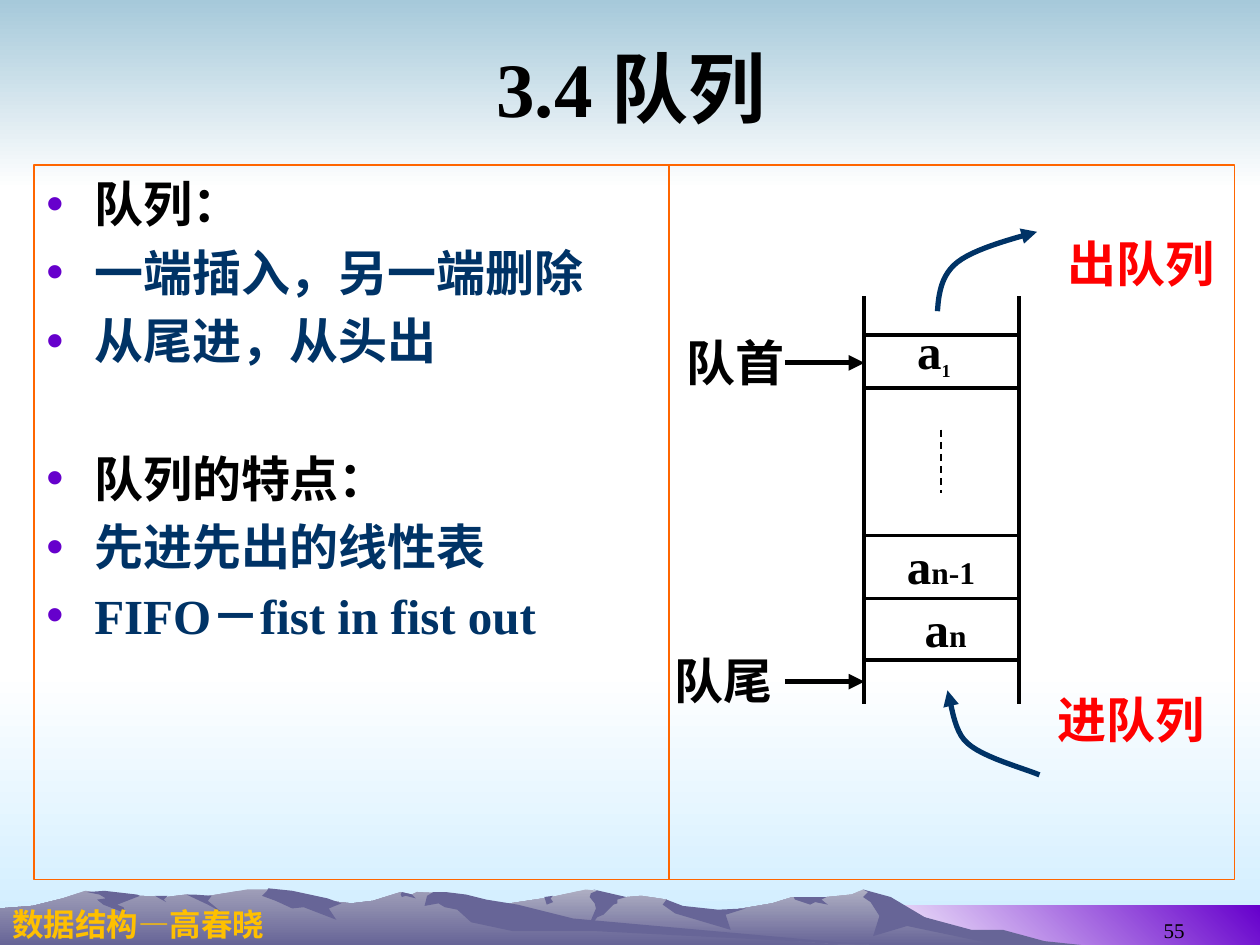
from lxml.etree import SubElement
from pptx import Presentation
from pptx.dml.color import RGBColor
from pptx.enum.dml import MSO_LINE_DASH_STYLE as Dash
from pptx.enum.shapes import MSO_CONNECTOR as Conn, MSO_SHAPE as Kind
from pptx.enum.text import MSO_ANCHOR as Anchor, PP_ALIGN as Align
from pptx.oxml.ns import qn
from pptx.util import Pt

PX = 9144
BLACK = RGBColor(0, 0, 0)
WHITE = RGBColor(255, 255, 255)
RED = RGBColor(255, 0, 0)
NAVY = RGBColor(0, 0x33, 0x66)
ORANGE = RGBColor(0xFF, 0x66, 0)
GOLD = RGBColor(0xFF, 0xC0, 0)
PURPLE = RGBColor(0x66, 0, 0xCC)
SKY = RGBColor(0xCC, 0xEC, 0xFF)
STEEL = RGBColor(0xA6, 0xC9, 0xDA)
ROCK = RGBColor(0x67, 0x65, 0x97)
MIST = RGBColor(0xAE, 0xAE, 0xC2)
HAZE = RGBColor(0x9F, 0x9E, 0xB8)
SERIF, SANS, CJK = "Times New Roman", "Arial", "Noto Sans CJK SC"

FAR = [802, 746, 778, 740, 764, 738, 723, 725, 702, 712, 685, 706, 676, 710,
       656, 712, 629, 712, 613, 717, 566, 725, 536, 721, 529, 714, 509, 711,
       486, 713, 474, 707, 465, 706, 438, 712, 405, 717, 355, 725, 327, 731,
       277, 745, 258, 750, 821, 750]
FOLDS = [
    [796, 738, 771, 738, 734, 728, 707, 712, 685, 706, 689, 708, 685, 712, 691, 716,
     698, 727, 693, 743, 720, 735, 792, 750, 858, 750, 829, 747],
    [471, 706, 474, 707, 469, 709, 468, 712, 472, 717, 473, 721, 465, 740, 474, 728,
     479, 726, 487, 718, 490, 717, 490, 714, 497, 712],
    [529, 714, 526, 718, 536, 725, 580, 738, 576, 726, 592, 721, 570, 722, 542, 719],
    [650, 712, 630, 712, 631, 714, 643, 718, 647, 716, 657, 718, 652, 714, 656, 712],
    [433, 715, 432, 712, 439, 711, 437, 713, 439, 716, 434, 718]]
NEAR = [690, 750, 667, 750, 432, 732, 354, 709, 331, 708, 327, 710, 318, 708, 296, 715,
        279, 717, 260, 715, 236, 717, 223, 708, 215, 706, 196, 706, 178, 709, 160, 712,
        148, 710, 132, 712, 111, 711, 94, 712, 68, 707, 50, 713, 26, 719, 0, 721, 0, 750]
RIDGES = [
    [212, 707, 208, 711, 219, 715, 232, 721, 241, 720, 267, 730, 261, 721, 271, 717,
     260, 713, 232, 707, 213, 705],
    [370, 710, 354, 708, 344, 708, 339, 711, 337, 719, 348, 717, 353, 720, 363, 722,
     374, 732, 407, 739, 472, 739, 690, 750, 455, 729, 411, 718, 386, 714],
    [318, 710, 319, 708, 327, 710, 330, 713, 322, 711, 319, 712],
    [154, 710, 168, 711, 165, 715, 176, 724, 165, 718, 148, 710],
    [133, 711, 130, 714, 132, 716, 123, 711],
    [109, 710, 111, 711, 93, 718, 98, 720, 100, 725, 82, 718, 77, 714, 84, 713, 79, 710,
     69, 708, 83, 707]]


def shade(shape, top, end, angle=270):
    """Fill a shape with a two-colour gradient."""
    shape.fill.gradient()
    shape.fill.gradient_angle = angle
    for stop, color, pos in zip(shape.fill.gradient_stops, (top, end), (0, 1)):
        stop.color.rgb, stop.position = color, pos


def pen(shape, color, width):
    """Set an outline."""
    shape.line.color.rgb, shape.line.width = color, Pt(width)


def head(shape):
    """Put a triangle at the end of a line."""
    SubElement(shape.element.spPr.find(qn("a:ln")), qn("a:tailEnd"), type="triangle")


def box(shapes, x, y, w, h):
    """Add a bare rectangle."""
    shape = shapes.add_shape(Kind.RECTANGLE, x * PX, y * PX, w * PX, h * PX)
    shape.shadow.inherit = False
    shape.fill.background()
    shape.line.fill.background()
    return shape


def trace(shapes, spots, close=True):
    """Add an outline through the given points."""
    spots = [(round(x * PX), round(y * PX)) for x, y in spots]
    pen_up = shapes.build_freeform(*spots[0], scale=1.0)
    pen_up.add_line_segments(spots[1:], close=close)
    shape = pen_up.convert_to_shape()
    shape.shadow.inherit = False
    shape.fill.background()
    shape.line.fill.background()
    return shape


def write(para, text, size, color, font=SERIF, bold=True):
    """Add one run to a paragraph."""
    run = para.add_run()
    run.text = text
    face = run.font
    face.name, face.size, face.bold = font, Pt(size), bold
    face.color.rgb = color
    SubElement(face._element if hasattr(face, "_element") else run.font._rPr,
               qn("a:ea"), typeface=CJK)
    return run


def label(shapes, spot, runs, color=BLACK, font=SERIF, align=Align.LEFT, bold=True):
    """Add a text box holding one line of (text, size) runs."""
    frame = shapes.add_textbox(*(v * PX for v in spot)).text_frame
    frame.word_wrap, frame.margin_top = True, 7 * PX
    para = frame.paragraphs[0]
    para.alignment = align
    para.line_spacing = Pt(1.2 * runs[0][1])
    return frame, [write(para, text, size, color, font, bold) for text, size in runs]


def rule(shapes, x, y, x2, y2, width=2.25):
    """Add a straight black line."""
    line = shapes.add_connector(Conn.STRAIGHT, *(v * PX for v in (x, y, x2, y2)))
    pen(line, BLACK, width)
    SubElement(line.element.spPr, qn("a:effectLst"))
    return line


def curve(shapes, x, y, flat):
    """Add a navy arrow along a chain of cubic curves."""
    pts = list(zip(flat[::2], flat[1::2]))
    spots = [(x + pts[0][0], y + pts[0][1])]
    for i in range(0, len(pts) - 1, 3):
        for t in (n / 12 for n in range(1, 13)):
            mix = ((1 - t) ** 3, 3 * t * (1 - t) ** 2, 3 * t * t * (1 - t), t ** 3)
            dx, dy = (sum(m * p[k] for m, p in zip(mix, pts[i:i + 4])) for k in (0, 1))
            spots.append((x + dx, y + dy))
    shape = trace(shapes, spots, False)
    pen(shape, NAVY, 3)
    head(shape)


def scene(shapes):
    """Draw the sky bands, the mountains and the footer."""
    shade(box(shapes, 0, 533, 1000, 217), WHITE, SKY)
    shade(box(shapes, 0, 0, 1000, 150), STEEL, WHITE)
    shade(box(shapes, 683, 719, 317, 31), WHITE, PURPLE, 45)
    for hill, tint, folds in ((FAR, MIST, FOLDS), (NEAR, HAZE, RIDGES)):
        shade(trace(shapes, zip(hill[::2], hill[1::2])), tint, ROCK)
        for fold in folds:
            shape = trace(shapes, zip(fold[::2], fold[1::2]))
            shape.fill.solid()
            shape.fill.fore_color.rgb = ROCK
    label(shapes, (0, 711, 305, 40), [("数据结构—高春晓", 18)], GOLD, SANS)
    frame, _ = label(shapes, (717, 703, 233, 50), [("55", 12)], align=Align.RIGHT, bold=False)
    frame.vertical_anchor = Anchor.BOTTOM


def heading(title, x, y, w, h):
    """Place and fill the title."""
    title.left, title.top, title.width, title.height = (v * PX for v in (x, y, w, h))
    title.element.getparent().append(title.element)
    title.text_frame.vertical_anchor = Anchor.MIDDLE
    para = title.text_frame.paragraphs[0]
    para.alignment, para.line_spacing = Align.CENTER, Pt(52.8)
    write(para, "3.4 队列", 44, BLACK)


def points(shapes, x, y, w, h):
    """Write the framed bullet list."""
    shape = box(shapes, x, y, w, h)
    pen(shape, ORANGE, 0.75)
    frame = shape.text_frame
    frame.vertical_anchor, frame.margin_top = Anchor.TOP, 7 * PX
    rows = [("队列：", BLACK, 0), ("一端插入，另一端删除", NAVY, 5.6),
            ("从尾进，从头出", NAVY, 5.6), ("队列的特点：", BLACK, 44.8),
            ("先进先出的线性表", NAVY, 5.6), ("FIFO－fist in fist out", NAVY, 5.6)]
    for i, (text, color, gap) in enumerate(rows):
        para = frame.add_paragraph() if i else frame.paragraphs[0]
        para.alignment, para.line_spacing, para.space_before = Align.LEFT, Pt(33.6), Pt(gap)
        props = para._p.get_or_add_pPr()
        props.set("marL", str(38 * PX))
        props.set("indent", str(-38 * PX))
        SubElement(SubElement(props, qn("a:buClr")), qn("a:srgbClr"), val=str(PURPLE))
        SubElement(props, qn("a:buFont"), typeface=SANS)
        SubElement(props, qn("a:buChar"), char="•")
        write(para, text, 28, color)


def queue(shapes, x, y, w, h):
    """Draw the framed queue with its ends and arrows."""
    pen(box(shapes, x, y, w, h), ORANGE, 0.75)
    left, right = x + 155, x + 278
    pen(box(shapes, left, y + 135, 123, 258), BLACK, 2.25)
    for dy in (177, 294, 344):
        rule(shapes, left, y + dy, right, y + dy)
    for side in (left, right):
        for dy in (104, 393):
            rule(shapes, side, y + dy, side, y + dy + 35)
    rule(shapes, x + 216, y + 210, x + 216, y + 260, 1).line.dash_style = Dash.DASH
    for dx, dy, wide, sub in ((187, 118, 62, "1"), (179, 287, 96, "n-1"), (193, 337, 62, "n")):
        _, runs = label(shapes, (x + dx, y + dy, wide, 57), [("a", 28), (sub, 18)])
        if sub == "1":
            runs[1].font._element.set("baseline", "-25000")
    for dx, dy, text in ((300, 47, "出队列"), (292, 409, "进队列")):
        label(shapes, (x + dx, y + dy, 149, 57), [(text, 28)], RED, CJK, Align.CENTER)
    for dx, dy, text, tip in ((-34, 126, "队首", 157), (-43, 378, "队尾", 410)):
        label(shapes, (x + dx, y + dy, 135, 57), [(text, 28)], BLACK, CJK, Align.RIGHT)
        head(rule(shapes, left - 63, y + tip, left, y + tip, 3))
    curve(shapes, x, y, [213, 116, 214, 102, 216, 87, 229, 77, 242, 67, 267, 60, 292, 53])
    curve(shapes, x, y, [294, 484, 282, 479, 249, 470, 237, 459, 225, 449, 224, 424, 221, 417])


def main():
    """Build and save the slide."""
    deck = Presentation()
    deck.slide_width, deck.slide_height = 1000 * PX, 750 * PX
    slide = deck.slides.add_slide(deck.slide_layouts[5])
    scene(slide.shapes)
    heading(slide.shapes.title, 51, 13, 900, 112)
    points(slide.shapes, 27, 131, 504, 567)
    queue(slide.shapes, 531, 131, 449, 567)
    deck.save("out.pptx")


if __name__ == "__main__":
    main()
